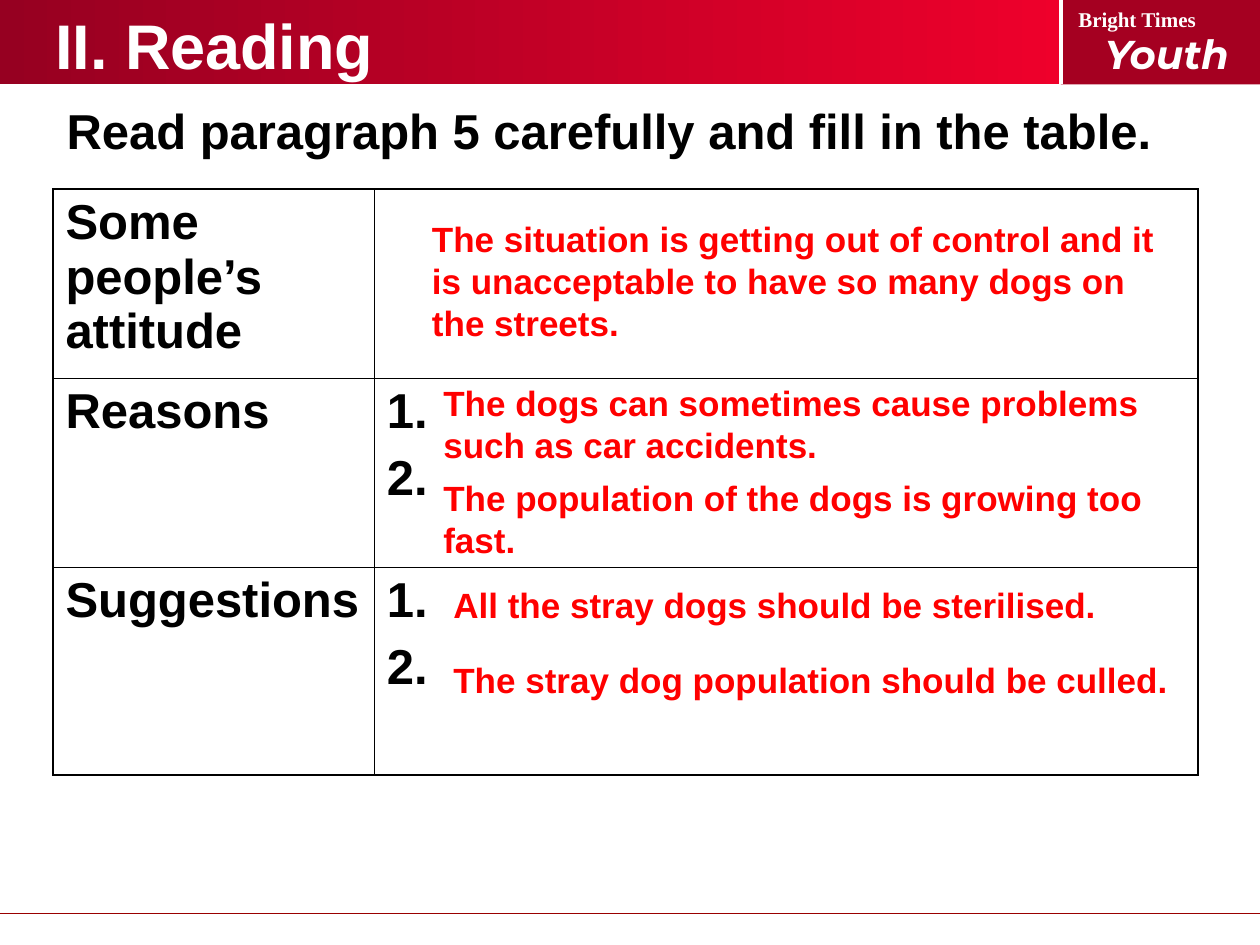
import pptx
import pptx.util
import pptx.dml.color
import pptx.enum.shapes
import pptx.enum.text
import pptx.oxml
import pptx.oxml.ns

Inches = pptx.util.Inches
Pt = pptx.util.Pt
namespace = pptx.oxml.ns.nsdecls("a")


def color(value):
    return pptx.dml.color.RGBColor.from_string(value)


def add_run(paragraph, words, size, ink, face="Arial", italic=False):
    run = paragraph.add_run()
    run.text = words
    run.font.name = face
    run.font.size = Pt(size)
    run.font.bold = True
    run.font.italic = italic
    run.font.color.rgb = color(ink)


deck = pptx.Presentation()
deck.slide_width = Inches(10)
deck.slide_height = Inches(7.5)
slide = deck.slides.add_slide(deck.slide_layouts[6])
shapes = slide.shapes

rectangle = pptx.enum.shapes.MSO_SHAPE.RECTANGLE
banner = shapes.add_shape(rectangle, 0, 0, Inches(10), Inches(0.67))
banner.fill.gradient()
banner.fill.gradient_angle = 0
for stop, shade in zip(banner.fill.gradient_stops, ("960021", "FF002D")):
    stop.color.rgb = color(shade)
masthead = shapes.add_shape(rectangle, Inches(8.42), 0, Inches(1.58), Inches(0.67))
masthead.fill.solid()
masthead.fill.fore_color.rgb = color("A50021")
for block in (banner, masthead):
    block.shadow.inherit = False
    block.line.fill.background()

for x1, y1, x2, y2, ink, weight in (
    (8.42, 0, 8.42, 0.67, "FFFFFF", 2.25),
    (0, 7.25, 10, 7.25, "990000", 0.75),
):
    rule = shapes.add_connector(
        pptx.enum.shapes.MSO_CONNECTOR.STRAIGHT, Inches(x1), Inches(y1), Inches(x2), Inches(y2))
    rule.line.color.rgb = color(ink)
    rule.line.width = Pt(weight)
    rule._element.spPr.append(pptx.oxml.parse_xml(f"<a:effectLst {namespace}/>"))

for words, left, top, width, height, size, ink, face, italic in (
    ("Bright Times", 8.46, 0, 1.4, 0.3, 12, "FFFFFF", "Times New Roman", False),
    ("Youth", 8.67, 0.18, 1.3, 0.49, 23, "FFFFFF", "Montserrat", True),
    ("II. Reading", 0.34, 0, 2.73, 0.7, 36, "FFFFFF", "Arial", False),
    ("Read paragraph 5 carefully and fill in the table.",
     0.43, 0.75, 8.92, 0.57, 28, "000000", "Arial", False),
):
    heading = shapes.add_textbox(Inches(left), Inches(top), Inches(width), Inches(height)).text_frame
    heading.word_wrap = False
    heading.auto_size = pptx.enum.text.MSO_AUTO_SIZE.NONE
    heading.paragraphs[0].alignment = pptx.enum.text.PP_ALIGN.LEFT
    add_run(heading.paragraphs[0], words, size, ink, face, italic)

rows = (
    (("Some people’s attitude",), ()),
    (("Reasons",), ("1.", "2.")),
    (("Suggestions",), ("1.", "2.")),
)
grid = shapes.add_table(3, 2, Inches(0.42), Inches(1.5), Inches(9.09), Inches(4.65)).table
grid.first_row = False
grid.horz_banding = False
for column, width in zip(grid.columns, (2.55, 6.54)):
    column.width = Inches(width)
for row, height in zip(grid.rows, (1.5, 1.5, 1.65)):
    row.height = Inches(height)

for r, row in enumerate(rows):
    for c, lines in enumerate(row):
        cell = grid.cell(r, c)
        for i, words in enumerate(lines):
            frame = cell.text_frame
            paragraph = frame.add_paragraph() if i else frame.paragraphs[0]
            if i:
                paragraph.space_before = Pt(7)
            add_run(paragraph, words, 28, "000000")
        properties = cell._tc.get_or_add_tcPr()
        for side, outer in (("L", c == 0), ("R", c == 1), ("T", r == 0), ("B", r == 2)):
            weight = Pt(1.08 if outer else 0.45)
            properties.append(pptx.oxml.parse_xml(
                f"<a:ln{side} {namespace} w='{weight}'>"
                f"<a:solidFill><a:srgbClr val='000000'/></a:solidFill></a:ln{side}>"))
        cell.fill.background()

for words, left, top, width, height in (
    ("The situation is getting out of control and it is unacceptable to have "
     "so many dogs on the streets.", 3.33, 1.68, 6.08, 1.1),
    ("The dogs can sometimes cause problems such as car accidents.", 3.42, 2.98, 5.83, 0.77),
    ("The population of the dogs is growing too fast.", 3.42, 3.73, 6.08, 0.77),
    ("All the stray dogs should be sterilised.", 3.5, 4.58, 5.92, 0.44),
    ("The stray dog population should be culled.", 3.5, 5.17, 6, 0.44),
):
    answer = shapes.add_textbox(Inches(left), Inches(top), Inches(width), Inches(height)).text_frame
    answer.word_wrap = True
    answer.auto_size = pptx.enum.text.MSO_AUTO_SIZE.SHAPE_TO_FIT_TEXT
    answer.vertical_anchor = pptx.enum.text.MSO_ANCHOR.MIDDLE
    add_run(answer.paragraphs[0], words, 20, "FF0000")

deck.save("out.pptx")
